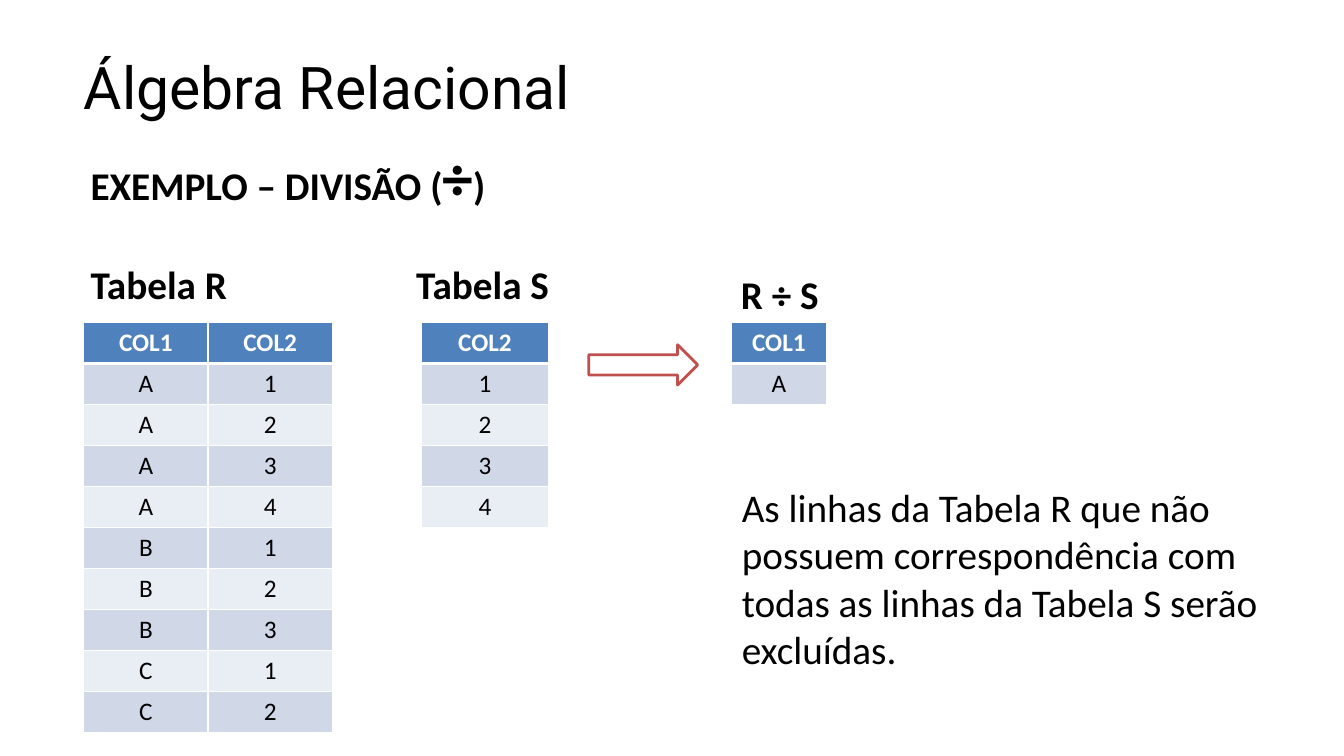
from lxml import etree
from pptx import Presentation
from pptx.dml.color import RGBColor
from pptx.enum.shapes import MSO_SHAPE
from pptx.enum.text import MSO_ANCHOR, PP_ALIGN
from pptx.oxml.ns import qn
from pptx.util import Inches, Pt

CENTER = PP_ALIGN.CENTER
TOP = MSO_ANCHOR.TOP
ARROW = MSO_SHAPE.RIGHT_ARROW

BLACK = RGBColor(0x00, 0x00, 0x00)
WHITE = RGBColor(0xFF, 0xFF, 0xFF)
BLUE = RGBColor(0x4F, 0x81, 0xBD)
RED = RGBColor(0xC0, 0x50, 0x4D)
BANDS = (RGBColor(0xD0, 0xD8, 0xE8), RGBColor(0xE9, 0xED, 0xF4))

BODY = "Calibri"
HEAD = "Roboto"
WIDTH, HEIGHT = Inches(13.33), Inches(7.5)
ROW = 5.42      # table row, percent of the slide's height
GRID_TOP = 42.67


def place(left, top, width, height):
    """Turn percentages of the slide's size into lengths."""
    return (round(WIDTH * left / 100), round(HEIGHT * top / 100),
            round(WIDTH * width / 100), round(HEIGHT * height / 100))


def add_run(para, text, size, bold=False, color=BLACK, font=BODY):
    """Append one formatted run to a paragraph."""
    run = para.add_run()
    run.text = text
    run.font.name = font
    run.font.size = Pt(size)
    run.font.bold = bold
    run.font.color.rgb = color


def add_box(slide, spot, wrap=True):
    """Add a text box and return its frame."""
    frame = slide.shapes.add_textbox(*place(*spot)).text_frame
    frame.word_wrap = wrap
    frame.vertical_anchor = TOP
    return frame


def add_tab(para, pos):
    """Set a left tab stop on a paragraph."""
    stops = etree.SubElement(para._p.get_or_add_pPr(), qn("a:tabLst"))
    etree.SubElement(stops, qn("a:tab"), pos=str(pos), algn="l")


def set_edges(cell, **widths):
    """Draw white cell borders, 1 pt wide unless a side says otherwise."""
    props = cell._tc.get_or_add_tcPr()
    for spot, side in enumerate("LRTB"):
        edge = etree.Element(qn("a:ln" + side), w=str(Pt(widths.get(side, 1))))
        fill = etree.SubElement(edge, qn("a:solidFill"))
        etree.SubElement(fill, qn("a:srgbClr"), val=str(WHITE))
        props.insert(spot, edge)


def add_grid(slide, left, width, rows):
    """Add a banded table with a blue header row."""
    spot = place(left, GRID_TOP, width, ROW * len(rows))
    table = slide.shapes.add_table(len(rows), len(rows[0]), *spot).table
    for i, row in enumerate(rows):
        table.rows[i].height = round(HEIGHT * ROW / 100)
        for j, text in enumerate(row):
            cell = table.cell(i, j)
            cell.fill.solid()
            cell.fill.fore_color.rgb = BANDS[(i - 1) % 2] if i else BLUE
            set_edges(cell, T=3 if i == 1 else 1, B=1 if i else 3)
            para = cell.text_frame.paragraphs[0]
            para.alignment = CENTER
            add_run(para, text, 18, not i, BLACK if i else WHITE)


def add_title(slide, text):
    """Add the slide's title, without inner margins."""
    frame = add_box(slide, (6.23, 6.53, 67.67, 9.6))
    frame.margin_left = frame.margin_right = frame.margin_bottom = 0
    frame.margin_top = Inches(0.01)
    para = frame.paragraphs[0]
    para.space_before = Pt(1.1)
    add_run(para, text, 42, font=HEAD)


def add_heads(slide):
    """Add the example's heading and the names of the two tables."""
    frame = add_box(slide, (6, 17.73, 57.91, 23.73))
    para = frame.paragraphs[0]
    for text, size in (("EXEMPLO – DIVISÃO (", 28), ("÷", 44), (")", 28)):
        add_run(para, text, size, True)
    names = frame.add_paragraph()
    names.space_before = Pt(34)
    add_tab(names, Inches(3.23))
    add_run(names, "Tabela R\tTabela S", 28, True)


def add_arrow(slide, spot):
    """Add the outlined arrow that leads to the result."""
    arrow = slide.shapes.add_shape(ARROW, *place(*spot))
    arrow.shadow.inherit = False
    arrow.fill.solid()
    arrow.fill.fore_color.rgb = WHITE
    arrow.line.color.rgb = RED
    arrow.line.width = Pt(2)


def main():
    """Build the slide and save it."""
    deck = Presentation()
    deck.slide_width, deck.slide_height = WIDTH, HEIGHT
    slide = deck.slides.add_slide(deck.slide_layouts[6])

    pairs = ("A1", "A2", "A3", "A4", "B1", "B2", "B3", "C1", "C2")
    add_grid(slide, 6.23, 18.5, [("COL1", "COL2"), *pairs])
    add_grid(slide, 31.36, 9.45, [("COL2",), *"1234"])
    add_grid(slide, 54.39, 7.13, [("COL1",), "A"])

    add_title(slide, "Álgebra Relacional")
    result = add_box(slide, (54.39, 35.07, 7.35, 7.6), wrap=False)
    add_run(result.paragraphs[0], "R ÷ S", 28, True)
    add_arrow(slide, (43.81, 45.6, 8.1, 5.33))
    add_heads(slide)
    note = add_box(slide, (54.46, 63.33, 39.98, 26.53))
    add_run(note.paragraphs[0],
            "As linhas da Tabela R que não possuem correspondência com "
            "todas as linhas da Tabela S serão excluídas.", 28)

    deck.save("out.pptx")


main()
